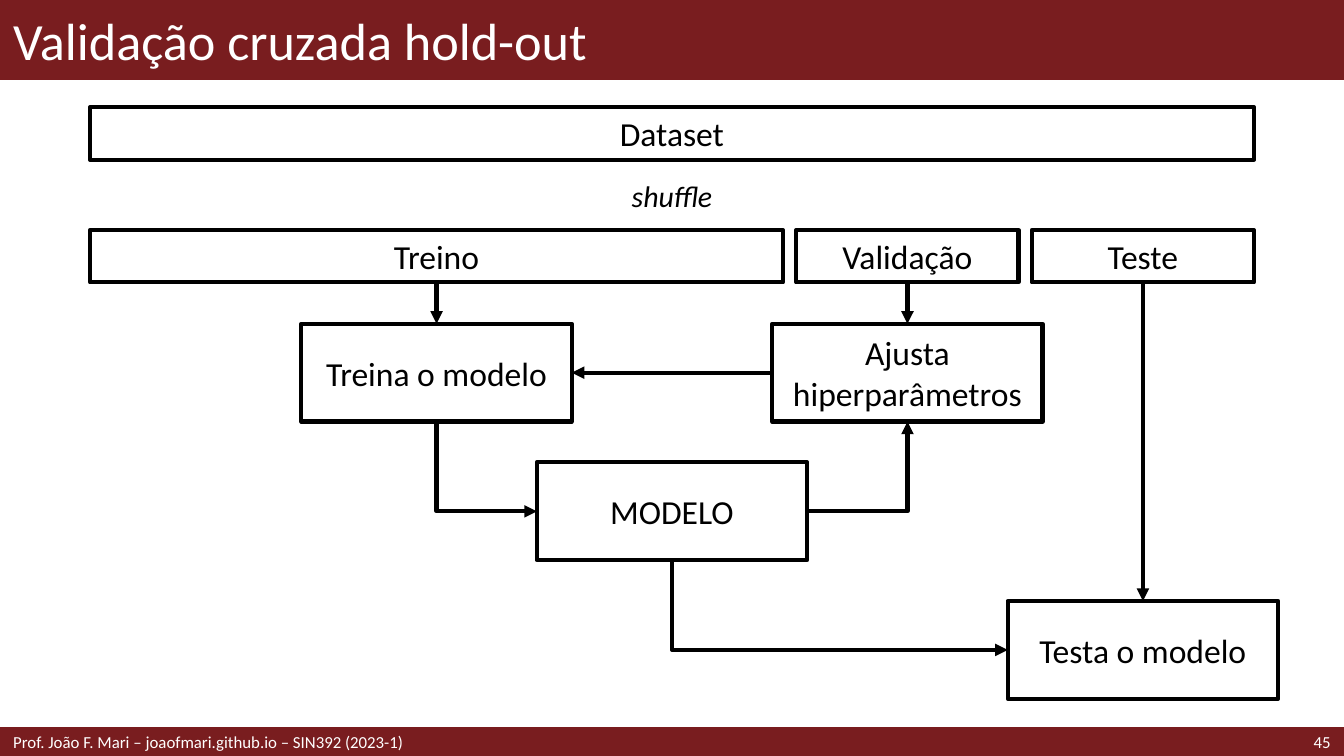
"""Builds the hold-out cross-validation slide."""
from dataclasses import dataclass

from lxml import etree
from pptx import Presentation
from pptx import util as u
from pptx.dml.color import RGBColor
from pptx.enum import shapes, text
from pptx.oxml.ns import qn

TOP, LEFT, BOTTOM, RIGHT = range(4)


@dataclass(frozen=True)
class Theme:
    """Colours, font and type sizes."""
    bar: RGBColor = RGBColor(0x79, 0x1D, 0x1F)
    light: RGBColor = RGBColor(0xFF, 0xFF, 0xFF)
    ink: RGBColor = RGBColor(0, 0, 0)
    font: str = "Calibri"
    title: float = 28
    body: float = 18
    note: float = 16
    footer: float = 9
    stroke: float = 2.25


@dataclass(frozen=True)
class Box:
    """A labelled box, placed by its centre column and top, in cm."""
    label: str
    center: float
    top: float
    width: float
    height: float


@dataclass(frozen=True)
class Arrow:
    """An arrow between connection sites of two named boxes."""
    start: str
    start_site: int
    end: str
    end_site: int


T = Theme()
WIDTH, HEIGHT = 25.4, 14.29
HEADER_H, FOOTER_H = 1.5, 0.53
FOOTER_TOP = HEIGHT - FOOTER_H
COLUMNS = [8.25 + 4.45 * i for i in range(4)]
ROWS = [6.12 + 2.62 * i for i in range(3)]
SPLIT_TOP, SPLIT_H = 4.35, 0.99
STAGE_W, STAGE_H = 5.11, 1.85

BOXES = [
    Box("Dataset", WIDTH / 2, 2.03, 22, SPLIT_H),
    Box("Treino", COLUMNS[0], SPLIT_TOP, 13.1, SPLIT_H),
    Box("Validação", COLUMNS[2], SPLIT_TOP, 4.2, SPLIT_H),
    Box("Teste", COLUMNS[3], SPLIT_TOP, 4.2, SPLIT_H),
    Box("Treina o modelo", COLUMNS[0], ROWS[0], STAGE_W, STAGE_H),
    Box("Ajusta hiperparâmetros", COLUMNS[2], ROWS[0], STAGE_W, STAGE_H),
    Box("MODELO", COLUMNS[1], ROWS[1], STAGE_W, STAGE_H),
    Box("Testa o modelo", COLUMNS[3], ROWS[2], STAGE_W, STAGE_H),
]

ARROWS = [
    Arrow("Treino", BOTTOM, "Treina o modelo", TOP),
    Arrow("Validação", BOTTOM, "Ajusta hiperparâmetros", TOP),
    Arrow("Teste", BOTTOM, "Testa o modelo", TOP),
    Arrow("Ajusta hiperparâmetros", LEFT, "Treina o modelo", RIGHT),
    Arrow("Treina o modelo", BOTTOM, "MODELO", LEFT),
    Arrow("MODELO", RIGHT, "Ajusta hiperparâmetros", BOTTOM),
    Arrow("MODELO", BOTTOM, "Testa o modelo", LEFT),
]


def write(sp, label: str, *, size: float, color: RGBColor = T.ink,
          align=text.PP_ALIGN.LEFT, italic: bool = False,
          wrap: bool = True) -> None:
    """Put one formatted, vertically centred paragraph in a shape."""
    tf = sp.text_frame
    tf.word_wrap = wrap
    tf.vertical_anchor = text.MSO_ANCHOR.MIDDLE
    tf.margin_top = tf.margin_bottom = 0
    p = tf.paragraphs[0]
    p.alignment = align
    r = p.add_run()
    r.text = label
    r.font.name, r.font.size = T.font, u.Pt(size)
    r.font.italic = italic
    r.font.color.rgb = color


def add_text(s, label: str, left: float, top: float, width: float,
             height: float, **style) -> None:
    """Add a text box with the given format."""
    sp = s.shapes.add_textbox(*map(u.Cm, (left, top, width, height)))
    write(sp, label, **style)


def add_rect(s, left: float, top: float, width: float, height: float):
    """Add a rectangle without a shadow."""
    sp = s.shapes.add_shape(shapes.MSO_SHAPE.RECTANGLE,
                            *map(u.Cm, (left, top, width, height)))
    sp.shadow.inherit = False
    return sp


def add_bar(s, top: float, height: float) -> None:
    """Add a full-width coloured bar."""
    sp = add_rect(s, 0, top, WIDTH, height)
    sp.fill.solid()
    sp.fill.fore_color.rgb = sp.line.color.rgb = T.bar
    sp.line.width = u.Pt(1)


def add_box(s, box: Box):
    """Add an outlined box with its label."""
    sp = add_rect(s, box.center - box.width / 2, box.top, box.width, box.height)
    sp.fill.background()
    sp.line.color.rgb = T.ink
    sp.line.width = u.Pt(T.stroke)
    write(sp, box.label, size=T.body, align=text.PP_ALIGN.CENTER)
    return sp


def bend(c, down_first: bool) -> None:
    """Give a connector a single corner, turning it if it starts downwards."""
    sp_pr = c._element.spPr
    sp_pr.find(qn("a:prstGeom")).set("prst", "bentConnector2")
    if down_first:
        w, h = c.width, c.height
        c.left, c.top = c.left + (w - h) // 2, c.top + (h - w) // 2
        c.width, c.height = h, w
        xfrm = sp_pr.find(qn("a:xfrm"))
        xfrm.set("rot", "16200000")
        xfrm.set("flipH", "1")


def add_arrow(s, arrow: Arrow, boxes: dict) -> None:
    """Join two boxes with a straight or single-corner arrow."""
    straight = arrow.start_site % 2 == arrow.end_site % 2
    kind = shapes.MSO_CONNECTOR
    c = s.shapes.add_connector(kind.STRAIGHT if straight else kind.ELBOW, 0, 0, 0, 0)
    c.begin_connect(boxes[arrow.start], arrow.start_site)
    c.end_connect(boxes[arrow.end], arrow.end_site)
    if not straight:
        bend(c, arrow.start_site == BOTTOM)
    c.line.color.rgb = T.ink
    c.line.width = u.Pt(T.stroke)
    sp_pr = c._element.spPr
    etree.SubElement(sp_pr.find(qn("a:ln")), qn("a:tailEnd"), type="triangle")
    etree.SubElement(sp_pr, qn("a:effectLst"))


def main() -> None:
    """Build and save the slide."""
    prs = Presentation()
    prs.slide_width, prs.slide_height = u.Cm(WIDTH), u.Cm(HEIGHT)
    s = prs.slides.add_slide(prs.slide_layouts[6])
    add_bar(s, 0, HEADER_H)
    add_bar(s, FOOTER_TOP, FOOTER_H)
    add_text(s, "Validação cruzada hold-out", 0, 0, WIDTH, HEADER_H,
             size=T.title, color=T.light)
    add_text(s, "Prof. João F. Mari – joaofmari.github.io – SIN392 (2023-1)",
             0, FOOTER_TOP, 17.5, FOOTER_H, size=T.footer, color=T.light)
    add_text(s, "45", 22.5, FOOTER_TOP, 2.9, FOOTER_H, size=T.footer,
             color=T.light, align=text.PP_ALIGN.RIGHT)
    boxes = {box.label: add_box(s, box) for box in BOXES}
    for arrow in ARROWS:
        add_arrow(s, arrow, boxes)
    add_text(s, "shuffle", 11.66, 3.23, 2.08, 0.94, size=T.note,
             align=text.PP_ALIGN.CENTER, italic=True, wrap=False)
    prs.save("out.pptx")


if __name__ == "__main__":
    main()
